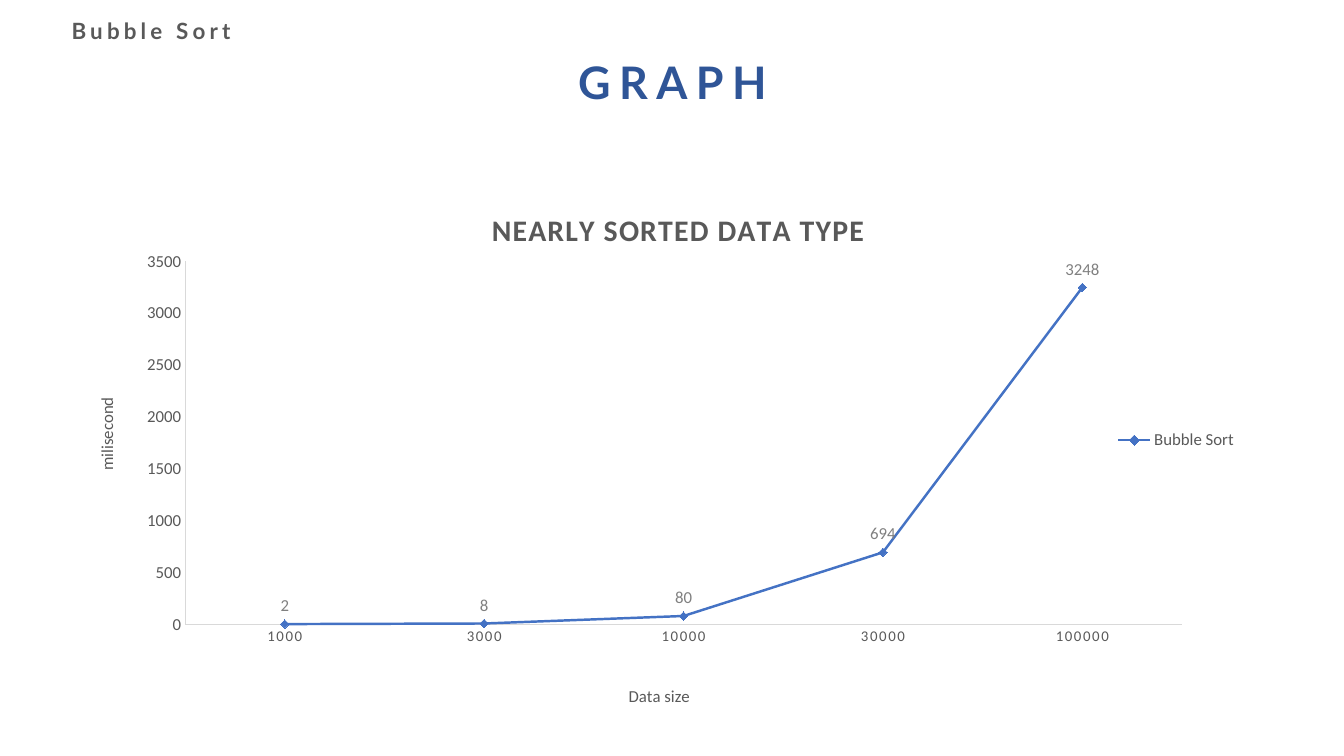
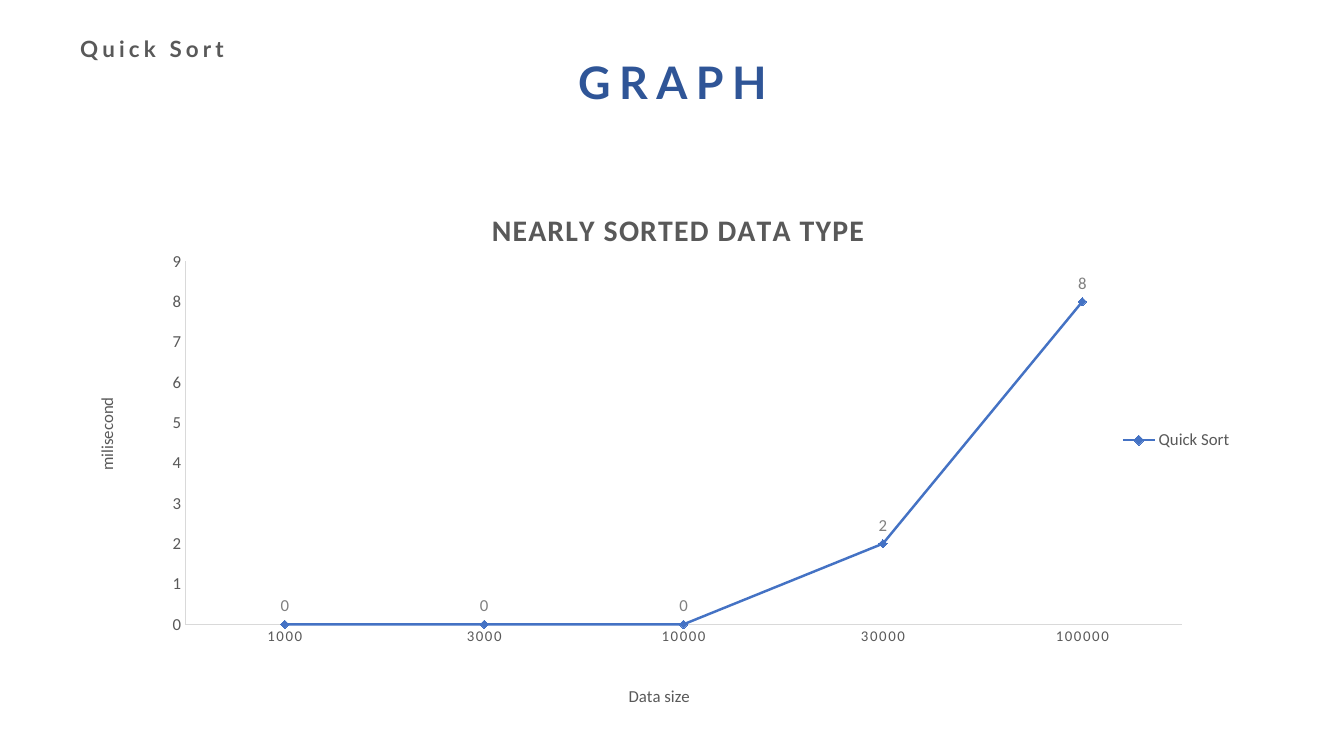
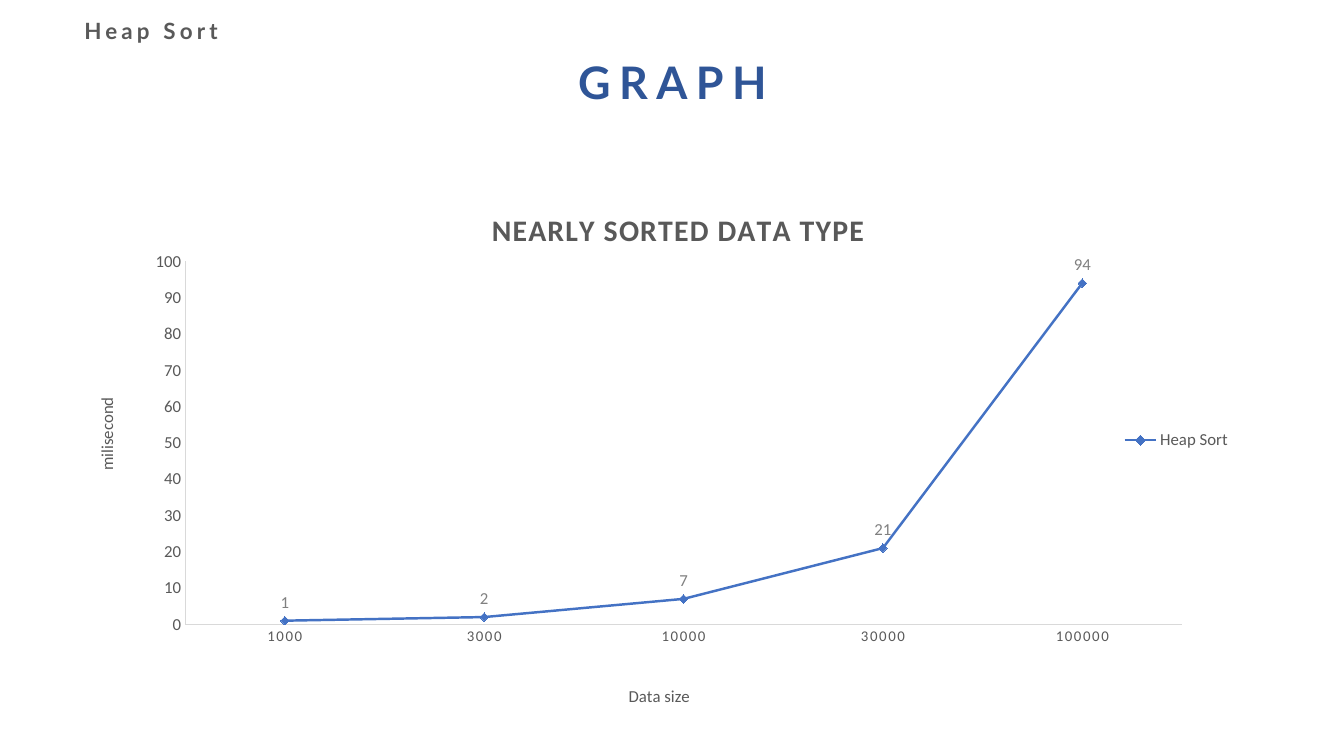
from dataclasses import dataclass

from lxml.etree import SubElement
from pptx import Presentation
from pptx.chart.chart import Chart
from pptx.chart.data import CategoryChartData
from pptx.dml.color import RGBColor
from pptx.enum.chart import (XL_CHART_TYPE, XL_LABEL_POSITION, XL_LEGEND_POSITION,
                             XL_MARKER_STYLE, XL_TICK_MARK)
from pptx.enum.text import MSO_ANCHOR, MSO_AUTO_SIZE, PP_ALIGN
from pptx.oxml.ns import qn
from pptx.oxml.xmlchemy import BaseOxmlElement
from pptx.shapes.autoshape import Shape
from pptx.slide import Slide
from pptx.text.text import Font, TextFrame
from pptx.util import Emu, Pt

PX = 9525  # EMU in one px, 96 px to the inch
COLORS = {"heading": "2F5597", "text": "595959", "label": "808080",
          "line": "4472C4", "axis": "D9D9D9", "base": "000000"}
TITLE_ONLY = 5
DATA_SIZES = ["1000", "3000", "10000", "30000", "100000"]


@dataclass(frozen=True)
class Box:
    """Place and size in px."""
    left: int
    top: int
    width: int
    height: int

    def emu(self) -> tuple[Emu, Emu, Emu, Emu]:
        return (Emu(self.left * PX), Emu(self.top * PX),
                Emu(self.width * PX), Emu(self.height * PX))


@dataclass(frozen=True)
class TextStyle:
    size: float
    color: str
    font: str = "Calibri"
    bold: bool = False
    spacing: int = 0  # hundredths of a point


@dataclass(frozen=True)
class SortGraph:
    algorithm: str
    milliseconds: tuple[int, ...]
    axis_max: int
    axis_step: int
    label_box: Box


HEADING = TextStyle(32, "heading", "Lato", True, 600)
ALGORITHM = TextStyle(16, "text", "Lato", True, 300)
CHART_TITLE = TextStyle(21.3, "text", bold=True, spacing=100)
SIZE_TICKS = TextStyle(10.6, "text", spacing=120)
AXIS_TEXT = TextStyle(12, "text")
VALUE_LABEL = TextStyle(12, "label")
CHART_BASE = TextStyle(10, "base")

HEADING_BOX = Box(513, 47, 255, 61)
CHART_BOX = Box(88, 169, 1104, 516)

GRAPHS = [
    SortGraph("Bubble Sort", (2, 8, 80, 694, 3248), 3500, 500, Box(39, 12, 210, 36)),
    SortGraph("Quick Sort", (0, 0, 0, 2, 8), 9, 1, Box(40, 29, 210, 36)),
    SortGraph("Heap Sort", (1, 2, 7, 21, 94), 100, 10, Box(39, 12, 210, 36)),
]


# Text
def style_font(font: Font, style: TextStyle) -> None:
    values = {"name": style.font, "size": Pt(style.size), "bold": style.bold}
    for attribute, value in values.items():
        setattr(font, attribute, value)
    font.color.rgb = RGBColor.from_string(COLORS[style.color])


def space_letters(root: BaseOxmlElement, query: str, style: TextStyle) -> None:
    for properties in root.xpath(query):
        properties.set("spc", str(style.spacing))


def write(frame: TextFrame, text: str, style: TextStyle) -> None:
    frame.text = text
    style_font(frame.paragraphs[0].runs[0].font, style)


def write_shape(shape: Shape, text: str, style: TextStyle, space_after: int = 0) -> None:
    frame = shape.text_frame
    write(frame, text, style)
    values = {"word_wrap": True, "auto_size": MSO_AUTO_SIZE.NONE,
              "vertical_anchor": MSO_ANCHOR.TOP}
    for attribute, value in values.items():
        setattr(frame, attribute, value)
    frame.paragraphs[0].alignment = PP_ALIGN.CENTER
    frame.paragraphs[0].space_after = Pt(space_after)
    space_letters(shape.element, ".//a:rPr", style)


# Chart
def place_part(part: BaseOxmlElement, index: int, inner: bool = False,
               **fractions: float) -> None:
    """Fix a chart part at fractions of the chart's width and height."""
    for previous in part.findall(qn("c:layout")):
        part.remove(previous)
    layout = SubElement(part, qn("c:layout"))
    part.insert(index, layout)
    manual = SubElement(layout, qn("c:manualLayout"))
    settings = {"layoutTarget": "inner"} if inner else {}
    settings |= {"xMode": "edge", "yMode": "edge"}
    settings |= {name: str(value) for name, value in fractions.items()}
    for name, value in settings.items():
        SubElement(manual, qn(f"c:{name}")).set("val", value)


def style_axes(chart: Chart, graph: SortGraph) -> None:
    sizes, times = chart.category_axis, chart.value_axis
    for axis, title, ticks in ((sizes, "Data size", SIZE_TICKS),
                               (times, "milisecond", AXIS_TEXT)):
        values = {"has_major_gridlines": False, "major_tick_mark": XL_TICK_MARK.NONE,
                  "minor_tick_mark": XL_TICK_MARK.NONE}
        for attribute, value in values.items():
            setattr(axis, attribute, value)
        write(axis.axis_title.text_frame, title, AXIS_TEXT)
        style_font(axis.tick_labels.font, ticks)
        axis.format.line.color.rgb = RGBColor.from_string(COLORS["axis"])
        axis.format.line.width = Pt(0.75)
    times.minimum_scale = 0
    times.maximum_scale = graph.axis_max
    times.major_unit = graph.axis_step


def style_series(chart: Chart) -> None:
    plot = chart.plots[0]
    plot.vary_by_categories = False
    series = plot.series[0]
    series.smooth = False
    blue = RGBColor.from_string(COLORS["line"])
    series.format.line.color.rgb = blue
    series.format.line.width = Pt(1.75)
    marker = series.marker
    marker.style = XL_MARKER_STYLE.DIAMOND
    marker.size = 6
    marker.format.fill.solid()
    marker.format.fill.fore_color.rgb = blue
    marker.format.line.color.rgb = blue
    labels = series.data_labels
    labels.show_value = True
    labels.position = XL_LABEL_POSITION.ABOVE
    style_font(labels.font, VALUE_LABEL)


def arrange_chart(chart: Chart) -> None:
    root = chart.element
    places = [
        ("c:chart/c:title", 1, {"x": 0.34, "y": 0.05}),
        ("//c:catAx/c:title", 1, {"x": 0.46, "y": 0.93}),
        ("//c:valAx/c:title", 1, {"x": 0.0, "y": 0.4}),
        ("//c:legend", 1, {"x": 0.87, "y": 0.45, "w": 0.13, "h": 0.07}),
    ]
    for query, index, fractions in places:
        place_part(root.xpath(query)[0], index, **fractions)
    place_part(root.xpath("//c:plotArea")[0], 0, inner=True,
               x=0.08, y=0.155, w=0.86, h=0.67)
    # Upright time axis title, widened chart title and tick labels
    root.xpath("//c:valAx/c:title//a:bodyPr")[0].set("rot", "-5400000")
    space_letters(root, "c:chart/c:title//a:rPr", CHART_TITLE)
    space_letters(root, "//c:catAx/c:txPr//a:defRPr", SIZE_TICKS)


def add_time_chart(slide: Slide, graph: SortGraph) -> None:
    data = CategoryChartData()
    data.categories = DATA_SIZES
    data.add_series(graph.algorithm, graph.milliseconds)
    chart = slide.shapes.add_chart(XL_CHART_TYPE.LINE_MARKERS, *CHART_BOX.emu(), data).chart
    style_font(chart.font, CHART_BASE)
    chart.has_title = True
    write(chart.chart_title.text_frame, "NEARLY SORTED DATA TYPE", CHART_TITLE)
    chart.has_legend = True
    chart.legend.position = XL_LEGEND_POSITION.RIGHT
    chart.legend.include_in_layout = False
    style_font(chart.legend.font, AXIS_TEXT)
    style_axes(chart, graph)
    style_series(chart)
    arrange_chart(chart)


# Slides
def add_graph_slide(deck: Presentation, graph: SortGraph) -> None:
    slide = deck.slides.add_slide(deck.slide_layouts[TITLE_ONLY])
    heading = slide.shapes.title
    heading.left, heading.top, heading.width, heading.height = HEADING_BOX.emu()
    write_shape(heading, "GRAPH", HEADING)
    add_time_chart(slide, graph)
    algorithm = slide.shapes.add_textbox(*graph.label_box.emu())
    write_shape(algorithm, graph.algorithm, ALGORITHM, space_after=6)


def main() -> None:
    deck = Presentation()
    deck.slide_width, deck.slide_height = Emu(1280 * PX), Emu(720 * PX)
    for graph in GRAPHS:
        add_graph_slide(deck, graph)
    deck.save("out.pptx")


if __name__ == "__main__":
    main()
